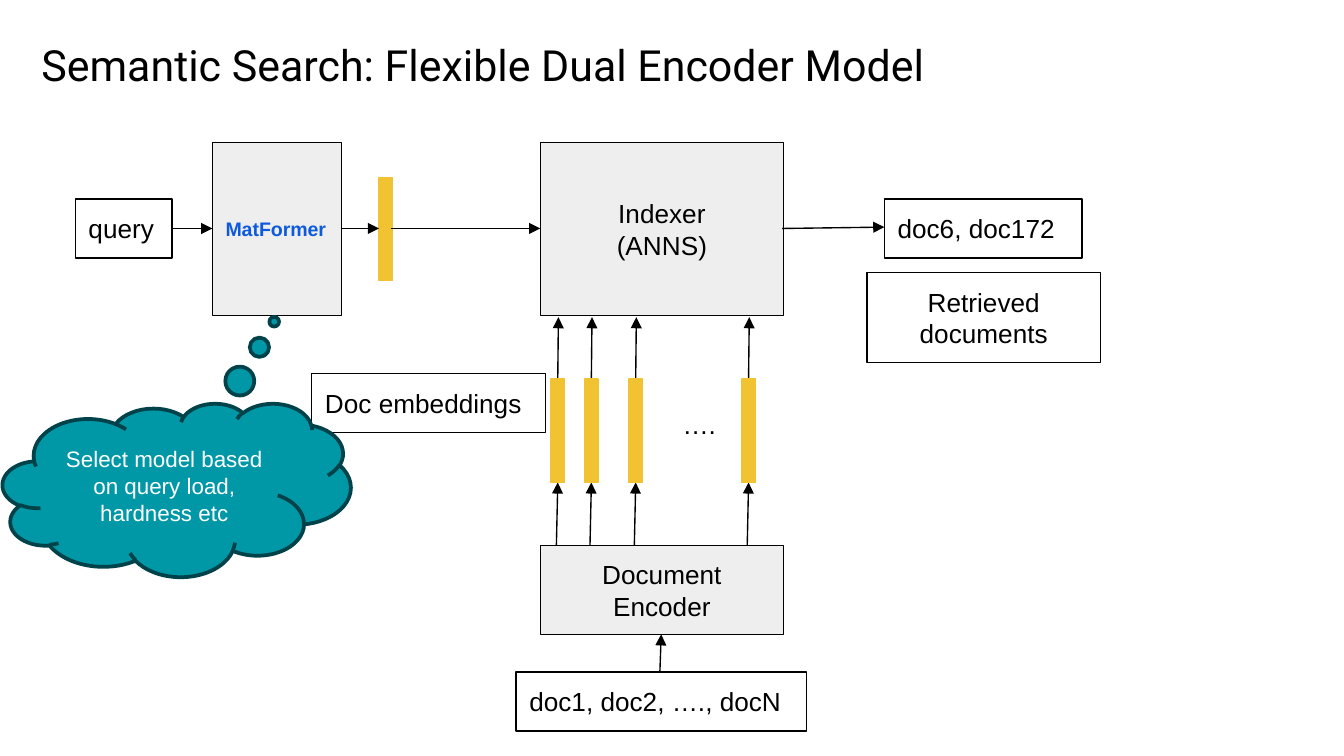
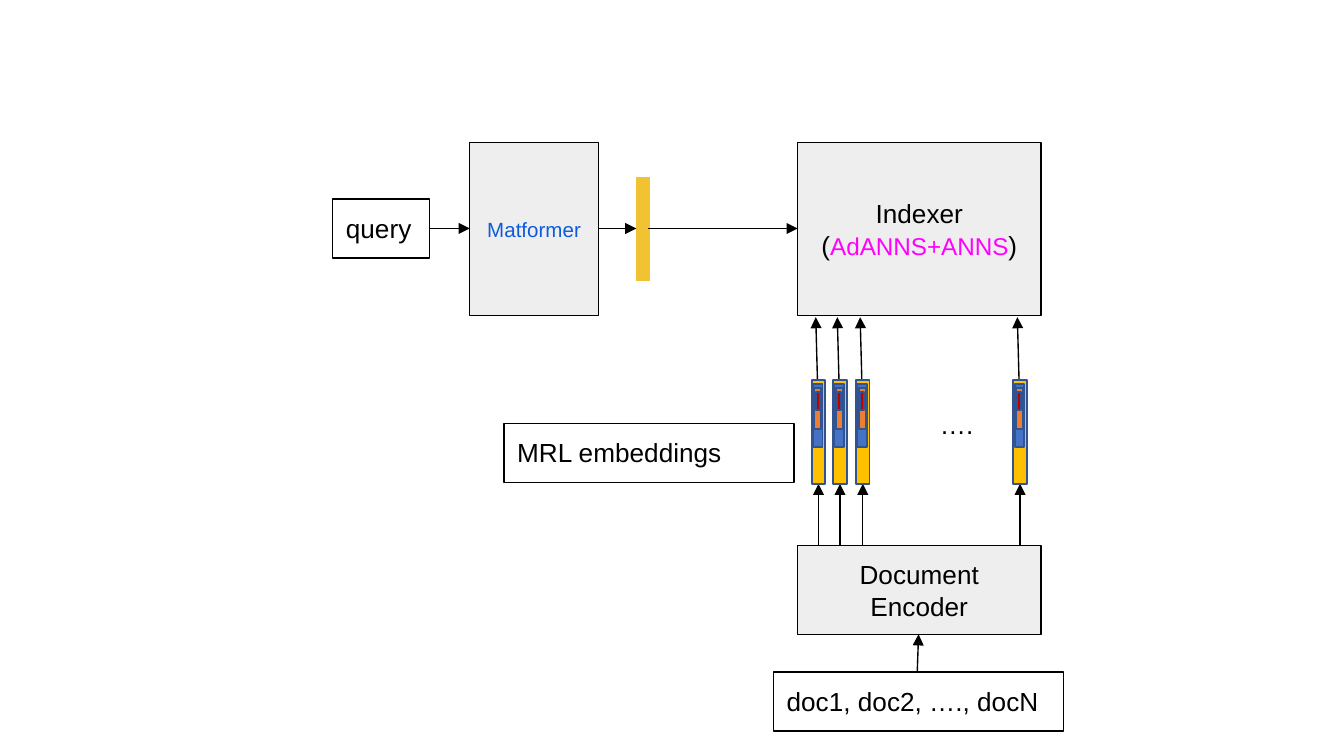
from dataclasses import dataclass, replace
from typing import Optional

from lxml.etree import SubElement
from pptx import Presentation
from pptx.dml.color import RGBColor
from pptx.enum.shapes import MSO_CONNECTOR as Connector, MSO_SHAPE as Preset
from pptx.enum.text import MSO_ANCHOR as Anchor, MSO_AUTO_SIZE as AutoSize, PP_ALIGN as Align
from pptx.oxml.ns import qn
from pptx.shapes.autoshape import Shape
from pptx.slide import Slide
from pptx.util import Inches, Pt

# The grid has 100 columns across a 16:9 slide; rows are as tall as columns are wide.
SLIDE_WIDTH = Inches(10)
SLIDE_HEIGHT = SLIDE_WIDTH * 9 // 16
CELL = SLIDE_WIDTH // 100


@dataclass(frozen=True)
class Theme:
    body_font: str = "Arial"
    title_font: str = "Roboto"
    title_size: float = 23
    body_size: float = 14
    note_size: float = 12
    accent_size: float = 13
    thin: float = 0.75
    nested: float = 1
    thick: float = 2
    black: str = "000000"
    white: str = "FFFFFF"
    block: str = "EEEEEE"
    model: str = "0D5BDC"
    accent: str = "FF00FF"
    embedding: str = "F1C232"
    cloud: str = "0097A7"
    cloud_edge: str = "004249"
    nested_edge: str = "31538F"
    layers: tuple[str, ...] = ("FFC000", "4472C4", "ED7D31", "C00000")


THEME = Theme()


@dataclass(frozen=True)
class Style:
    fill: Optional[str] = None
    edge: Optional[str] = THEME.black
    weight: float = THEME.thin
    preset: Preset = Preset.RECTANGLE
    color: str = THEME.black
    font: str = THEME.body_font
    size: float = THEME.body_size
    bold: bool = False
    align: Align = Align.LEFT
    anchor: Anchor = Anchor.TOP
    grows: bool = False
    insets: tuple[float, float] = (1, 1)


LABEL = Style(grows=True)
CENTERED_LABEL = replace(LABEL, align=Align.CENTER)
PLAIN_TEXT = replace(LABEL, edge=None)
TITLE = replace(PLAIN_TEXT, font=THEME.title_font, size=THEME.title_size)
BLOCK = Style(fill=THEME.block, align=Align.CENTER, anchor=Anchor.MIDDLE)
EMBEDDING = Style(fill=THEME.embedding, edge=THEME.embedding)
CLOUD = Style(fill=THEME.cloud, edge=THEME.cloud_edge, weight=THEME.thick,
              preset=Preset.CLOUD_CALLOUT, color=THEME.white, size=THEME.note_size,
              align=Align.CENTER, anchor=Anchor.MIDDLE, insets=(1, 0.5))


@dataclass(frozen=True)
class Box:
    left: float
    top: float
    width: float
    height: float
    style: Style
    text: str = ""


@dataclass(frozen=True)
class Arrow:
    start_column: float
    start_row: float
    end_column: float
    end_row: float


@dataclass(frozen=True)
class Layer:
    width: float
    height: float


@dataclass(frozen=True)
class Lanes:
    """Embedding bars with an arrow below and above, offsets measured from a bar's left edge."""
    lefts: tuple[float, ...]
    top: float
    lower: tuple[float, float]
    upper: tuple[float, float]
    upper_start: float


BAR = Layer(1, 7.7)
NESTED_LAYERS = (BAR, Layer(0.7, 4.7), Layer(0.5, 3), Layer(0.3, 1.3))
LAYER_INSET = 0.1
LAYER_DROP = 0.3
ENCODER_TOP = 40.6
INDEXER_ARROW_END = 23.6
PIPELINE_SHIFT = 19.15

PIPELINE_BOXES = (
    Box(40.2, ENCODER_TOP, 18.1, 6.6, BLOCK, "Document Encoder"),
    Box(38.4, 50, 21.6, 4.4, LABEL, "doc1, doc2, …., docN"),
    Box(49.8, 29.4, 51.1, 4.4, PLAIN_TEXT, "…."),
    Box(5.6, 14.8, 7.2, 4.4, LABEL, "query"),
    Box(28.2, 13.2, BAR.width, BAR.height, EMBEDDING),
)
PIPELINE_ARROWS = (
    Arrow(49.1, 50, 49.2, 47.2),
    Arrow(12.8, 17, 15.8, 17),
    Arrow(25.4, 17, 28.2, 17),
    Arrow(29.1, 17, 40.2, 17),
)
MODEL = Box(15.8, 10.6, 9.6, 12.9, BLOCK)
INDEXER = Box(40.2, 10.6, 18.1, 12.9, BLOCK)

DOCUMENT_LANES = Lanes((41, 43.5, 46.8, 55.2), 28.2, (0.4, 0.5), (0.5, 0.55), 28.2)
NESTED_LANES = Lanes((60.4, 62, 63.7, 75.4), 28.3, (0.5, 0.5), (0.45, 0.3), 29.2)


def cells(count: float) -> int:
    return round(count * CELL)


def rgb(color: str) -> RGBColor:
    return RGBColor.from_string(color)


def format_text(shape: Shape, text: str, style: Style) -> None:
    frame = shape.text_frame
    frame.text = text
    frame.word_wrap = True
    frame.auto_size = AutoSize.SHAPE_TO_FIT_TEXT if style.grows else AutoSize.NONE
    frame.vertical_anchor = style.anchor
    side, end = style.insets
    frame.margin_left = frame.margin_right = cells(side)
    frame.margin_top = frame.margin_bottom = cells(end)
    for paragraph in frame.paragraphs:
        paragraph.alignment = style.align
        for run in paragraph.runs:
            run.font.name = style.font
            run.font.size = Pt(style.size)
            run.font.bold = style.bold
            run.font.color.rgb = rgb(style.color)


def draw_box(slide: Slide, box: Box) -> Shape:
    style = box.style
    place = [cells(length) for length in (box.left, box.top, box.width, box.height)]
    if style.edge is None:
        shape = slide.shapes.add_textbox(*place)
    else:
        shape = slide.shapes.add_shape(style.preset, *place)
        shape.shadow.inherit = False
        shape.line.color.rgb = rgb(style.edge)
        shape.line.width = Pt(style.weight)
        if style.fill:
            shape.fill.solid()
            shape.fill.fore_color.rgb = rgb(style.fill)
        else:
            shape.fill.background()
    if box.text:
        format_text(shape, box.text, style)
    return shape


def draw_arrow(slide: Slide, arrow: Arrow) -> None:
    connector = slide.shapes.add_connector(
        Connector.STRAIGHT, cells(arrow.start_column), cells(arrow.start_row),
        cells(arrow.end_column), cells(arrow.end_row))
    connector.line.color.rgb = rgb(THEME.black)
    connector.line.width = Pt(THEME.thin)
    SubElement(connector.line._get_or_add_ln(), qn("a:tailEnd"), type="triangle")
    SubElement(connector._element.spPr, qn("a:effectLst"))


def draw_bar(slide: Slide, left: float, top: float) -> None:
    draw_box(slide, Box(left, top, BAR.width, BAR.height, EMBEDDING))


def draw_nested_bar(slide: Slide, left: float, top: float) -> None:
    for index, (layer, color) in enumerate(zip(NESTED_LAYERS, THEME.layers)):
        style = Style(fill=color, edge=THEME.nested_edge, weight=THEME.nested)
        draw_box(slide, Box(left + index * LAYER_INSET, top + index * LAYER_DROP,
                            layer.width, layer.height, style))


def draw_lanes(slide: Slide, lanes: Lanes, nested: bool) -> None:
    draw = draw_nested_bar if nested else draw_bar
    for left in lanes.lefts:
        lower_start, lower_end = (left + offset for offset in lanes.lower)
        upper_start, upper_end = (left + offset for offset in lanes.upper)
        draw_arrow(slide, Arrow(lower_start, ENCODER_TOP, lower_end, lanes.top + BAR.height))
        draw_arrow(slide, Arrow(upper_start, lanes.upper_start, upper_end, INDEXER_ARROW_END))
        draw(slide, left, lanes.top)


def draw_pipeline(slide: Slide, model: str, model_style: Style, indexer: str,
                  shift: float = 0) -> Shape:
    """Draw the query and document paths and return the indexer block."""
    model_box = replace(MODEL, text=model, style=model_style)
    for box in (*PIPELINE_BOXES, model_box):
        draw_box(slide, replace(box, left=box.left + shift))
    for arrow in PIPELINE_ARROWS:
        draw_arrow(slide, replace(arrow, start_column=arrow.start_column + shift,
                                  end_column=arrow.end_column + shift))
    return draw_box(slide, replace(INDEXER, left=INDEXER.left + shift, text=indexer))


def build_dual_encoder(slide: Slide) -> None:
    model_style = replace(BLOCK, color=THEME.model, size=10.5, bold=True, align=Align.LEFT)
    draw_pipeline(slide, "MatFormer", model_style, "Indexer\v(ANNS)")
    draw_lanes(slide, DOCUMENT_LANES, nested=False)
    draw_arrow(slide, Arrow(58.2, 17, 65.8, 16.9))
    for box in (
        Box(23.2, 27.8, 17.4, 4.4, LABEL, "Doc embeddings"),
        Box(65.8, 14.8, 14.7, 4.4, LABEL, "doc6, doc172"),
        Box(64.5, 20.3, 17.4, 6.7, CENTERED_LABEL, "Retrieved documents"),
        Box(2.1, 1.9, 92, 5.9, TITLE, "Semantic Search: Flexible Dual Encoder Model"),
    ):
        draw_box(slide, box)
    cloud = draw_box(slide, Box(0.2, 30, 25.9, 12.9, CLOUD,
                                "Select model based on query load, hardness etc"))
    cloud.adjustments[0] = 0.28
    cloud.adjustments[1] = -0.97


def build_nested_embeddings(slide: Slide) -> None:
    model_style = replace(BLOCK, color=THEME.model, size=11)
    indexer = draw_pipeline(slide, "Matformer", model_style, "Indexer\n(", PIPELINE_SHIFT)
    method = indexer.text_frame.paragraphs[1]
    for text, color, size in (("AdANNS+ANNS", THEME.accent, THEME.accent_size),
                              (")", THEME.black, THEME.body_size)):
        run = method.add_run()
        run.text = text
        run.font.name = THEME.body_font
        run.font.size = Pt(size)
        run.font.color.rgb = rgb(color)
    draw_box(slide, Box(37.5, 31.5, 21.6, 4.4, LABEL, "MRL embeddings"))
    draw_lanes(slide, NESTED_LANES, nested=True)


def main() -> None:
    presentation = Presentation()
    presentation.slide_width = SLIDE_WIDTH
    presentation.slide_height = SLIDE_HEIGHT
    blank = presentation.slide_layouts[6]
    for build in (build_dual_encoder, build_nested_embeddings):
        build(presentation.slides.add_slide(blank))
    presentation.save("out.pptx")


if __name__ == "__main__":
    main()
